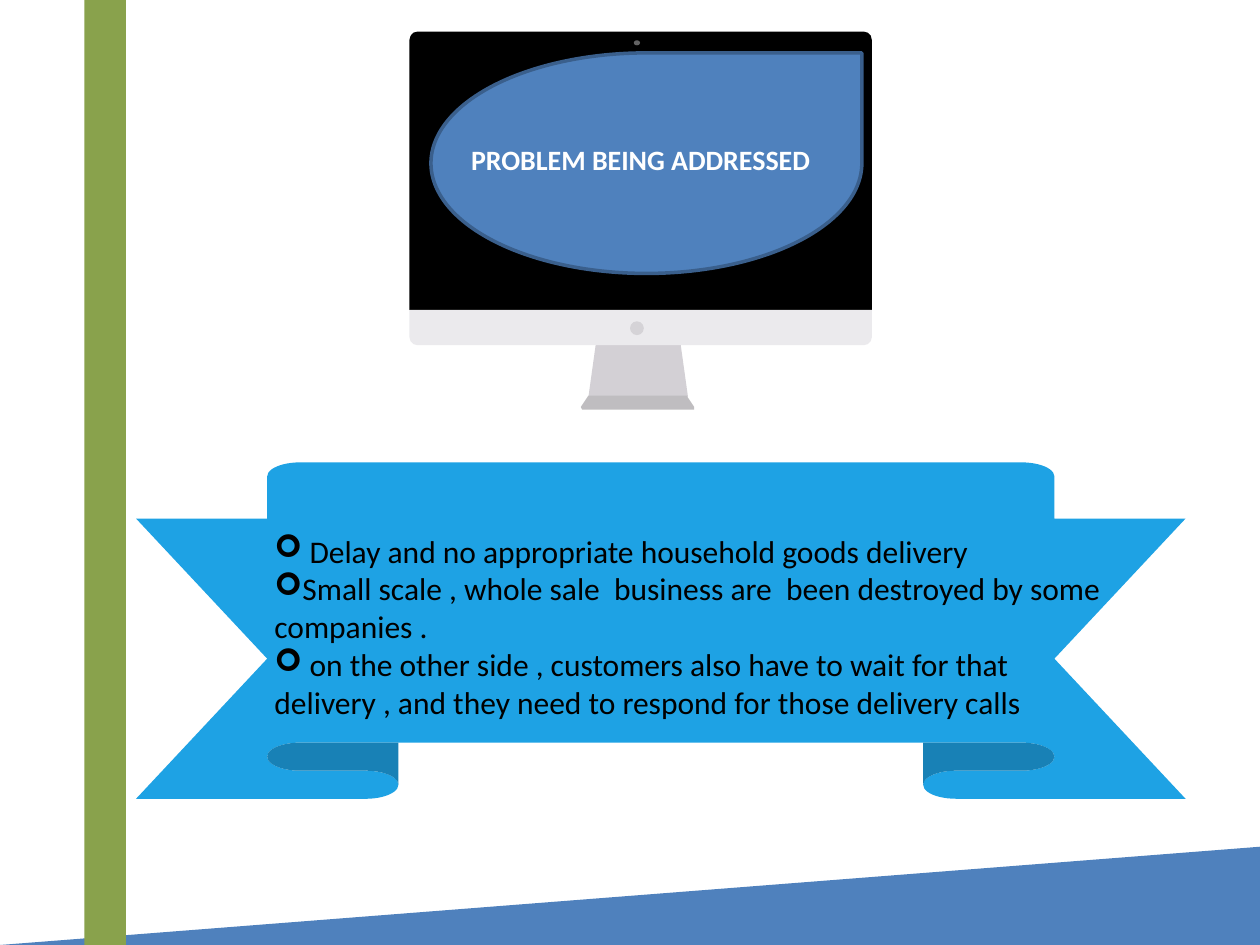
from dataclasses import dataclass
from typing import Optional

from lxml.etree import SubElement
from pptx import Presentation
from pptx.dml.color import RGBColor
from pptx.enum.shapes import MSO_SHAPE
from pptx.enum.text import MSO_ANCHOR, PP_ALIGN
from pptx.oxml.ns import qn
from pptx.util import Inches, Pt

BLACK = RGBColor(0x00, 0x00, 0x00)
WHITE = RGBColor(0xFF, 0xFF, 0xFF)
BLUE = RGBColor(0x4F, 0x81, 0xBD)
DARK_BLUE = RGBColor(0x3A, 0x5F, 0x8C)
SKY = RGBColor(0x1E, 0xA2, 0xE4)
GREEN = RGBColor(0x89, 0xA2, 0x4C)
STAND_GREY = RGBColor(0xD3, 0xD0, 0xD5)
FOOT_GREY = RGBColor(0xBF, 0xBD, 0xC0)
CHIN_GREY = RGBColor(0xEB, 0xEA, 0xED)
BUTTON_GREY = RGBColor(0xD5, 0xD3, 0xD7)
CAMERA_GREY = RGBColor(0x62, 0x62, 0x63)


@dataclass(frozen=True)
class Preset:
    kind: MSO_SHAPE
    left: float
    top: float
    width: float
    height: float
    fill: RGBColor
    adjustments: tuple[float, ...] = ()
    outline: Optional[RGBColor] = None
    flipped: bool = False


@dataclass(frozen=True)
class Outline:
    points: tuple[tuple[float, float], ...]
    fill: RGBColor


MONITOR_OUTLINES = (
    Outline(((4.73, 2.72), (5.4, 2.72), (5.46, 3.15), (4.67, 3.15)), STAND_GREY),
    Outline(((4.67, 3.14), (5.45, 3.14), (5.51, 3.23), (5.51, 3.25),
             (4.62, 3.25), (4.61, 3.23)), FOOT_GREY),
)
MONITOR_PRESETS = (
    Preset(MSO_SHAPE.ROUND_2_SAME_RECTANGLE, 3.25, 0.25, 3.67, 2.21, BLACK, (0.03, 0)),
    Preset(MSO_SHAPE.ROUND_2_SAME_RECTANGLE, 3.25, 2.46, 3.67, 0.28, CHIN_GREY, (0, 0.23)),
    Preset(MSO_SHAPE.OVAL, 5, 2.55, 0.11, 0.11, BUTTON_GREY),
    Preset(MSO_SHAPE.OVAL, 5.03, 0.32, 0.05, 0.04, CAMERA_GREY),
)
CORNER = Preset(MSO_SHAPE.RIGHT_TRIANGLE, 0, 6.72, 10, 0.78, BLUE, flipped=True)
TITLE_DROP = Preset(MSO_SHAPE.TEAR, 3.42, 0.42, 3.42, 1.75, BLUE, outline=DARK_BLUE)
SIDE_BAR = Preset(MSO_SHAPE.RECTANGLE, 0.67, 0, 0.33, 7.5, GREEN)
RIBBON = Preset(MSO_SHAPE.UP_RIBBON, 1.08, 3.67, 8.33, 2.67, SKY, (0.167, 0.75))

PROBLEMS = (
    " Delay and no appropriate household goods delivery",
    "Small scale , whole sale  business are  been destroyed by some  companies .",
    " on the other side , customers also have to wait for that delivery , "
    "and they need to respond for those delivery calls",
)


def paint(shape, fill: RGBColor, outline: Optional[RGBColor] = None) -> None:
    shape.shadow.inherit = False
    shape.fill.solid()
    shape.fill.fore_color.rgb = fill
    if outline is None:
        shape.line.fill.background()
    else:
        shape.line.color.rgb = outline
        shape.line.width = Pt(2)


def draw_preset(page, item: Preset) -> None:
    shape = page.shapes.add_shape(
        item.kind, Inches(item.left), Inches(item.top),
        Inches(item.width), Inches(item.height))
    for index, value in enumerate(item.adjustments):
        shape.adjustments[index] = value
    if item.flipped:
        shape._element.spPr.xfrm.set("flipH", "1")
    paint(shape, item.fill, item.outline)


def draw_outline(page, item: Outline) -> None:
    points = [(Inches(x), Inches(y)) for x, y in item.points]
    builder = page.shapes.build_freeform(*points[0])
    builder.add_line_segments(points[1:], close=True)
    paint(builder.convert_to_shape(), item.fill)


def add_text(page, lines: tuple[str, ...], *, left: float, top: float,
             width: float, height: float, size: int, color: RGBColor,
             bold: bool = False, align: PP_ALIGN = PP_ALIGN.LEFT,
             bullet: Optional[str] = None) -> None:
    box = page.shapes.add_textbox(
        Inches(left), Inches(top), Inches(width), Inches(height))
    frame = box.text_frame
    frame.word_wrap = True
    frame.vertical_anchor = MSO_ANCHOR.TOP
    for index, line in enumerate(lines):
        para = frame.paragraphs[0] if index == 0 else frame.add_paragraph()
        para.alignment = align
        if bullet:
            properties = para._p.get_or_add_pPr()
            SubElement(properties, qn("a:buFont")).set("typeface", "Wingdings")
            SubElement(properties, qn("a:buChar")).set("char", bullet)
        span = para.add_run()
        span.text = line
        span.font.name = "Calibri"
        span.font.size = Pt(size)
        span.font.bold = bold
        span.font.color.rgb = color


def main() -> None:
    deck = Presentation()
    deck.slide_width = Inches(10)
    deck.slide_height = Inches(7.5)
    page = deck.slides.add_slide(deck.slide_layouts[6])

    for outline in MONITOR_OUTLINES:
        draw_outline(page, outline)
    for preset in (*MONITOR_PRESETS, CORNER, TITLE_DROP):
        draw_preset(page, preset)
    add_text(page, ("PROBLEM BEING ADDRESSED",), left=3.5, top=1.08, width=3.17,
             height=0.37, size=16, color=WHITE, bold=True, align=PP_ALIGN.CENTER)
    for preset in (SIDE_BAR, RIBBON):
        draw_preset(page, preset)
    add_text(page, PROBLEMS, left=2.08, top=4.17, width=6.83, height=1.62,
             size=18, color=BLACK, bullet="➢")

    deck.save("out.pptx")


if __name__ == "__main__":
    main()
